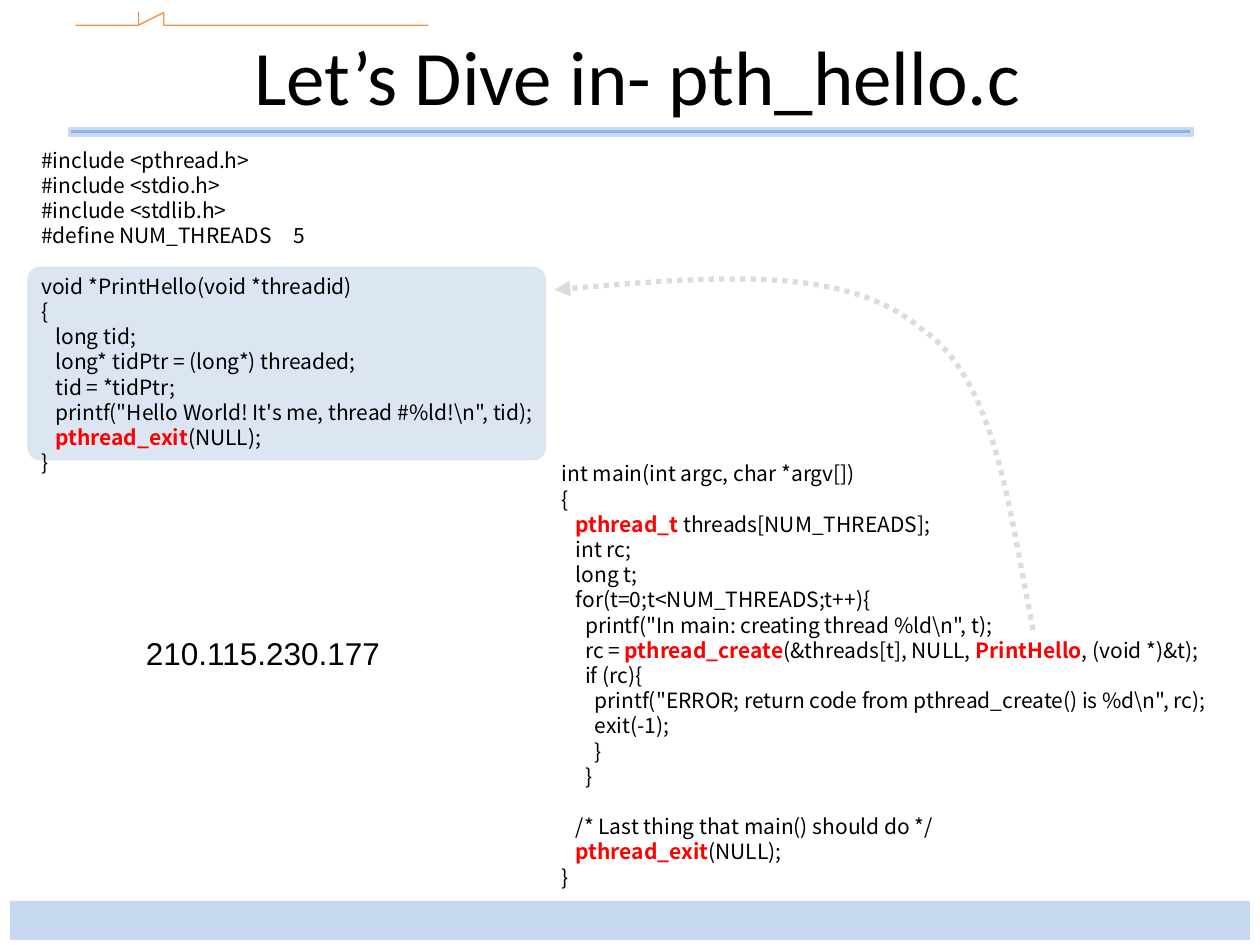
from lxml import etree
from pptx import Presentation
from pptx.dml.color import RGBColor
from pptx.enum.dml import MSO_LINE
from pptx.enum.shapes import MSO_SHAPE
from pptx.enum.text import MSO_ANCHOR, PP_ALIGN
from pptx.oxml.ns import qn
from pptx.util import Inches, Pt

RECTANGLE = MSO_SHAPE.RECTANGLE
ROUNDED = MSO_SHAPE.ROUNDED_RECTANGLE
DOTTED = MSO_LINE.ROUND_DOT
TOP, MIDDLE = MSO_ANCHOR.TOP, MSO_ANCHOR.MIDDLE
LEFT, CENTER = PP_ALIGN.LEFT, PP_ALIGN.CENTER

COLUMNS, ROWS = 100, 75
CELL = Inches(0.1)
CODE_LINE = 14.4
COLORS = {
    "text": "000000",
    "keyword": "FF0000",
    "pulse": "F69240",
    "rule": "8EB4E3",
    "band": "C6D9F1",
    "panel": "DCE6F2",
    "arrow": "DCDCDC",
}

THREAD_CODE = r"""#include <pthread.h>
#include <stdio.h>
#include <stdlib.h>
#define NUM_THREADS	5

void *PrintHello(void *threadid)
{
   long tid;
   long* tidPtr = (long*) threaded;
   tid = *tidPtr;
   printf("Hello World! It's me, thread #%ld!\n", tid);
   `pthread_exit`(NULL);
}"""

MAIN_CODE = r"""int main(int argc, char *argv[])
{
   `pthread_t` threads[NUM_THREADS];
   int rc;
   long t;
   for(t=0;t<NUM_THREADS;t++){
     printf("In main: creating thread %ld\n", t);
     rc = `pthread_create`(&threads[t], NULL, `PrintHello`, (void *)&t);
     if (rc){
       printf("ERROR; return code from pthread_create() is %d\n", rc);
       exit(-1);
       }
     }

   /* Last thing that main() should do */
   `pthread_exit`(NULL);
}"""

PULSE = [(5.5, 1.6), (10.6, 1.6), (11.4, 1), (11.4, 2.5),
         (12.8, 0.8), (12.8, 2.3), (13.5, 1.6), (34.3, 1.6)]
CALL_CURVE = [(81.7, 50.3), (80.4, 40.2), (79.2, 30.1), (73, 25.6),
              (66.8, 21.1), (55.6, 22), (44.4, 23)]


def color(name):
    return RGBColor.from_string(COLORS[name])


def cells(*counts):
    return [round(count * CELL) for count in counts]


def set_line(shape, name, width):
    shape.line.color.rgb = color(name)
    shape.line.width = Pt(width)


def add_block(page, area, fill, line=None, kind=RECTANGLE, corner=None):
    block = page.shapes.add_shape(kind, *cells(*area))
    block.shadow.inherit = False
    block.fill.solid()
    block.fill.fore_color.rgb = color(fill)
    if line:
        set_line(block, line, 2)
    else:
        block.line.fill.background()
    if corner is not None:
        block.adjustments[0] = corner


def add_path(page, points, line, width):
    start, *rest = points
    builder = page.shapes.build_freeform(*start, scale=CELL)
    builder.add_line_segments(rest, close=False)
    outline = builder.convert_to_shape()
    outline.shadow.inherit = False
    outline.fill.background()
    set_line(outline, line, width)
    return outline


def add_curved_arrow(page, points, line, width):
    arrow = add_path(page, points, line, width)
    segments = list(arrow.element.iter(qn("a:lnTo")))
    route = segments[0].getparent()
    for first in range(0, len(segments), 3):
        curve = etree.SubElement(route, qn("a:cubicBezTo"))
        for segment in segments[first:first + 3]:
            curve.append(segment[0])
            route.remove(segment)
    arrow.line.dash_style = DOTTED
    stroke = arrow.element.spPr.find(qn("a:ln"))
    etree.SubElement(stroke, qn("a:tailEnd"), type="triangle")


def add_text(page, text, area, size, font, align=LEFT, anchor=TOP,
             wrap=True, inset=1, leading=None):
    frame = page.shapes.add_textbox(*cells(*area)).text_frame
    frame.word_wrap = wrap
    frame.vertical_anchor = anchor
    frame.margin_left = frame.margin_right = round(inset * CELL)
    frame.margin_top = frame.margin_bottom = CELL // 2
    para = frame.paragraphs[0]
    for number, block in enumerate(text.split("\n\n")):
        for row, line in enumerate(block.split("\n")):
            if number or row:
                para = frame.add_paragraph()
            para.alignment = align
            if leading:
                para.line_spacing = Pt(leading)
            if number and row == 0:
                para.space_before = Pt(leading or size)
            for index, part in enumerate(line.split("`")):
                if not part:
                    continue
                marked = index % 2 == 1
                span = para.add_run()
                span.text = part
                span.font.name = font
                span.font.size = Pt(size)
                span.font.bold = marked
                span.font.color.rgb = color("keyword" if marked else "text")


def add_code(page, text, area):
    add_text(page, text, area, size=12, font="Noto Sans CJK KR",
             leading=CODE_LINE)


def main():
    deck = Presentation()
    deck.slide_width, deck.slide_height = cells(COLUMNS, ROWS)
    page = deck.slides.add_slide(deck.slide_layouts[6])
    add_path(page, PULSE, "pulse", 0.75)
    add_block(page, (5.5, 10.2, 89.1, 0.5), "rule", line="band")
    add_block(page, (0.8, 71.5, 98.4, 3.1), "band")
    add_block(page, (2.3, 21.3, 40.9, 15.1), "panel", line="panel",
              kind=ROUNDED, corner=0.06)
    add_text(page, "Let’s Dive in- pth_hello.c", (5, 0.5, 91.2, 10.8),
             size=44, font="Calibri", align=CENTER, anchor=MIDDLE, inset=0.5)
    add_code(page, THREAD_CODE, (2.3, 11.2, 41.8, 27.3))
    add_code(page, MAIN_CODE, (43.6, 36.1, 54.9, 35.3))
    add_curved_arrow(page, CALL_CURVE, "arrow", 3)
    add_text(page, "210.115.230.177", (10.6, 49.8, 21, 4), size=18,
             font="Arial", wrap=False)
    deck.save("out.pptx")


if __name__ == "__main__":
    main()
